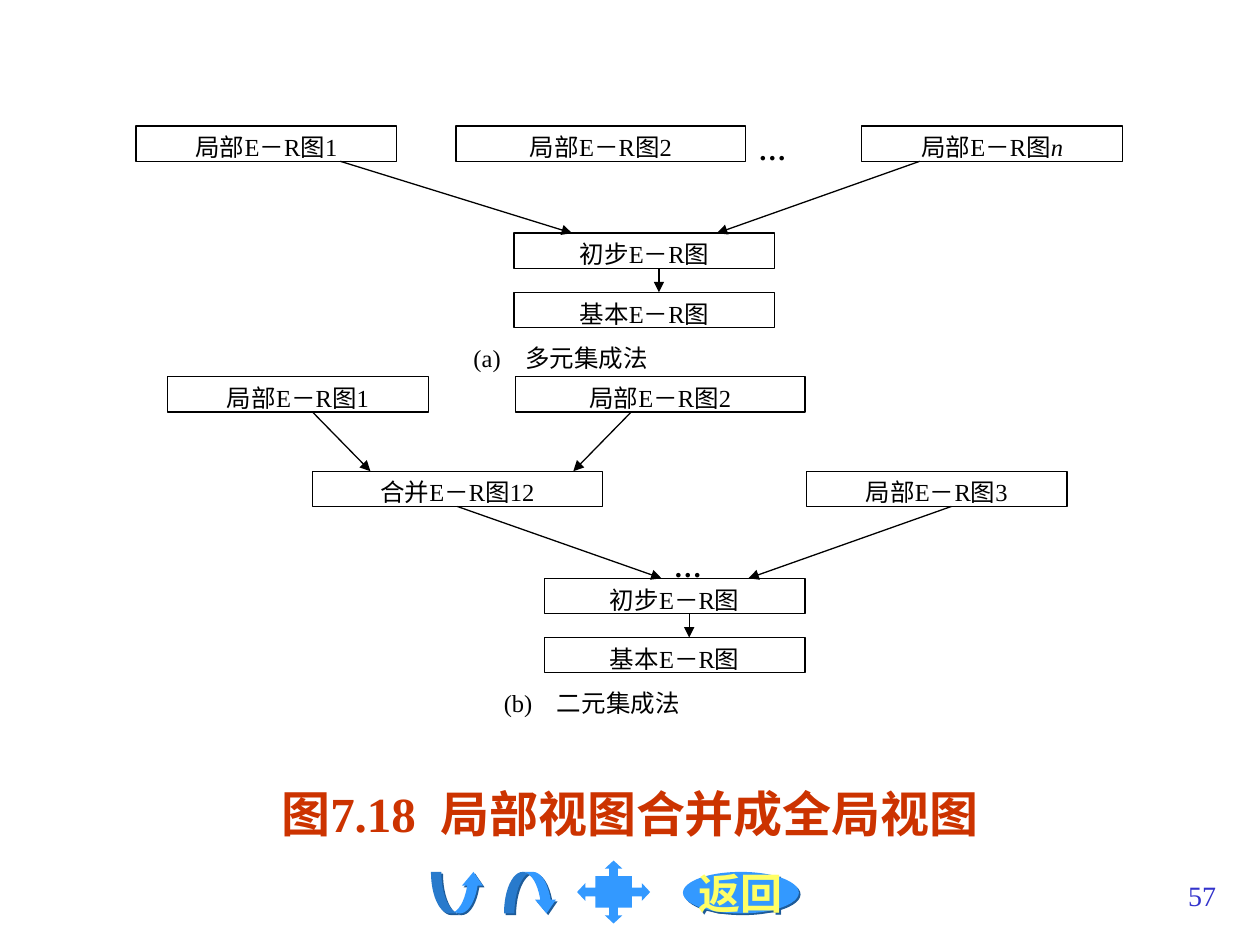
import pptx
import pptx.dml.color
import pptx.enum.shapes
import pptx.enum.text
import pptx.oxml
import pptx.oxml.ns
import pptx.util

Inches = pptx.util.Inches
Pt = pptx.util.Pt
RGBColor = pptx.dml.color.RGBColor
Shape = pptx.enum.shapes.MSO_SHAPE
Align = pptx.enum.text.PP_ALIGN
Anchor = pptx.enum.text.MSO_ANCHOR

BLACK = RGBColor(0, 0, 0)
WHITE = RGBColor(255, 255, 255)
BLUE = RGBColor(0x33, 0x99, 0xFF)
NAVY = RGBColor(0x1E, 0x5B, 0x98)
YELLOW = RGBColor(0xFF, 0xFF, 0x66)
RED = RGBColor(0xCC, 0x33, 0x00)
INDIGO = RGBColor(0x33, 0x33, 0xCC)
FONT = "Times New Roman"
HIGH, SLIM, WIDE = 0.28, 2.07, 2.3


def write(frame, text, size, color, align, bold=False):
    """Set one styled paragraph in a text frame and return it."""
    para = frame.paragraphs[0]
    para.text = text
    para.alignment = align
    font = para.font
    font.name, font.size, font.bold = FONT, Pt(size), bold
    font.color.rgb = color
    return para


def panel(slide, x, y, w, h=HIGH):
    """Add a white rectangle without an outline."""
    rect = slide.shapes.add_shape(Shape.RECTANGLE, Inches(x), Inches(y), Inches(w), Inches(h))
    rect.shadow.inherit = False
    rect.fill.solid()
    rect.fill.fore_color.rgb = WHITE
    rect.line.fill.background()
    rect.text_frame.word_wrap = True
    rect.text_frame.vertical_anchor = Anchor.TOP
    return rect


def node(slide, x, y, text, w=SLIM):
    """Add an outlined box with centred text and return its paragraph."""
    rect = panel(slide, x, y, w)
    rect.line.color.rgb = BLACK
    rect.line.width = Pt(0.75)
    return write(rect.text_frame, text, 14, BLACK, Align.CENTER)


def dots(slide, x, y, h=HIGH):
    """Add an ellipsis standing for further steps."""
    rect = panel(slide, x, y, 0.69, h)
    write(rect.text_frame, "…", 16, BLACK, Align.JUSTIFY, True)


def arrow(slide, x1, y1, x2, y2):
    """Add a thin line with an arrowhead at its end."""
    line = slide.shapes.add_connector(
        pptx.enum.shapes.MSO_CONNECTOR.STRAIGHT, Inches(x1), Inches(y1), Inches(x2), Inches(y2))
    line.line.color.rgb = BLACK
    line.line.width = Pt(0.75)
    stroke = line.line._get_or_add_ln()
    stroke.append(pptx.oxml.parse_xml(
        f'<a:tailEnd {pptx.oxml.ns.nsdecls("a")} type="triangle"/>'))
    stroke.addnext(pptx.oxml.parse_xml(f'<a:effectLst {pptx.oxml.ns.nsdecls("a")}/>'))


def finish(slide, x, y, label):
    """Draw the two closing boxes of a method and its caption."""
    step = 0.47
    node(slide, x, y, "初步E－R图")
    arrow(slide, x + 1.15, y + HIGH, x + 1.15, y + step)
    node(slide, x, y + step, "基本E－R图")
    rect = panel(slide, x - 0.42, y + 0.82, 3.46)
    write(rect.text_frame, label, 14, BLACK, Align.JUSTIFY)


def many(slide, x, y):
    """Draw the method that merges all views at once."""
    node(slide, x, y, "局部E－R图1")
    dots(slide, x + 4.84, y)
    node(slide, x + 2.54, y, "局部E－R图2", WIDE)
    node(slide, x + 5.76, y, "局部E－R图").add_run().text = "n"
    last = slide.shapes[-1].text_frame.paragraphs[0].runs[-1]
    last.font.italic = True
    finish(slide, x + 3, y + 0.85, "(a)　多元集成法")
    arrow(slide, x + 1.62, y + HIGH, x + 3.46, y + 0.85)
    arrow(slide, x + 6.22, y + HIGH, x + 4.61, y + 0.85)


def pairs(slide, x, y):
    """Draw the method that merges views two at a time."""
    mid, low = y + 0.75, y + 1.6
    node(slide, x, y, "局部E－R图1")
    node(slide, x + 2.76, y, "局部E－R图2", WIDE)
    node(slide, x + 1.15, mid, "合并E－R图12", WIDE)
    node(slide, x + 5.07, mid, "局部E－R图3")
    dots(slide, x + 3.92, y + 1.32, 0.38)
    finish(slide, x + 2.99, low, "(b)　二元集成法")
    arrow(slide, x + 1.15, y + HIGH, x + 1.61, mid)
    arrow(slide, x + 3.68, y + HIGH, x + 3.22, mid)
    arrow(slide, x + 2.3, mid + HIGH, x + 3.92, low)
    arrow(slide, x + 6.22, mid + HIGH, x + 4.61, low)


def button(slide, kind, x, y, w, h, adjust=(), shade=True):
    """Add a blue button shape, with a hard shadow if wanted."""
    shape = slide.shapes.add_shape(kind, Inches(x), Inches(y), Inches(w), Inches(h))
    for index, value in enumerate(adjust):
        shape.adjustments[index] = value
    shape.fill.solid()
    shape.fill.fore_color.rgb = BLUE
    shape.line.fill.background()
    shape.shadow.inherit = False
    if shade:
        effects = shape._element.spPr.find(pptx.oxml.ns.qn("a:effectLst"))
        effects.append(pptx.oxml.parse_xml(
            f'<a:outerShdw {pptx.oxml.ns.nsdecls("a")} dist="{Pt(1.4)}" dir="2700000" '
            f'algn="ctr" rotWithShape="0"><a:srgbClr val="{NAVY}"/></a:outerShdw>'))
    return shape


def menu(slide, x, y):
    """Draw the row of navigation buttons."""
    top = y + 0.09
    curve = (0.25, 0.5, 0.33)
    button(slide, Shape.CURVED_UP_ARROW, x, top, 0.42, 0.33, curve)
    button(slide, Shape.CURVED_DOWN_ARROW, x + 0.58, top, 0.42, 0.33, curve)
    button(slide, Shape.QUAD_ARROW_CALLOUT, x + 1.16, y, 0.58, 0.5,
           (0.14, 0.14, 0.13, 0.5), False)
    oval = button(slide, Shape.OVAL, x + 2, top, 0.92, 0.33)
    oval.text_frame.word_wrap = False
    oval.text_frame.vertical_anchor = Anchor.MIDDLE
    write(oval.text_frame, "返回", 24, YELLOW, Align.CENTER, True)


def label(slide, x, y, w, h, *style):
    """Add a wrapped text box with one styled paragraph."""
    box = slide.shapes.add_textbox(Inches(x), Inches(y), Inches(w), Inches(h))
    box.text_frame.word_wrap = True
    write(box.text_frame, *style)


def main():
    """Build and save the slide."""
    deck = pptx.Presentation()
    deck.slide_width, deck.slide_height = Inches(10), Inches(7.5)
    slide = deck.slides.add_slide(deck.slide_layouts[6])
    menu(slide, 3.42, 6.83)
    label(slide, 0.75, 6.17, 8.5, 0.67, "图7.18  局部视图合并成全局视图", 28, RED, Align.CENTER, True)
    many(slide, 1.08, 1)
    pairs(slide, 1.33, 2.99)
    label(slide, 7.67, 6.92, 2.08, 0.5, "57", 16, INDIGO, Align.RIGHT)
    deck.save("out.pptx")


if __name__ == "__main__":
    main()
